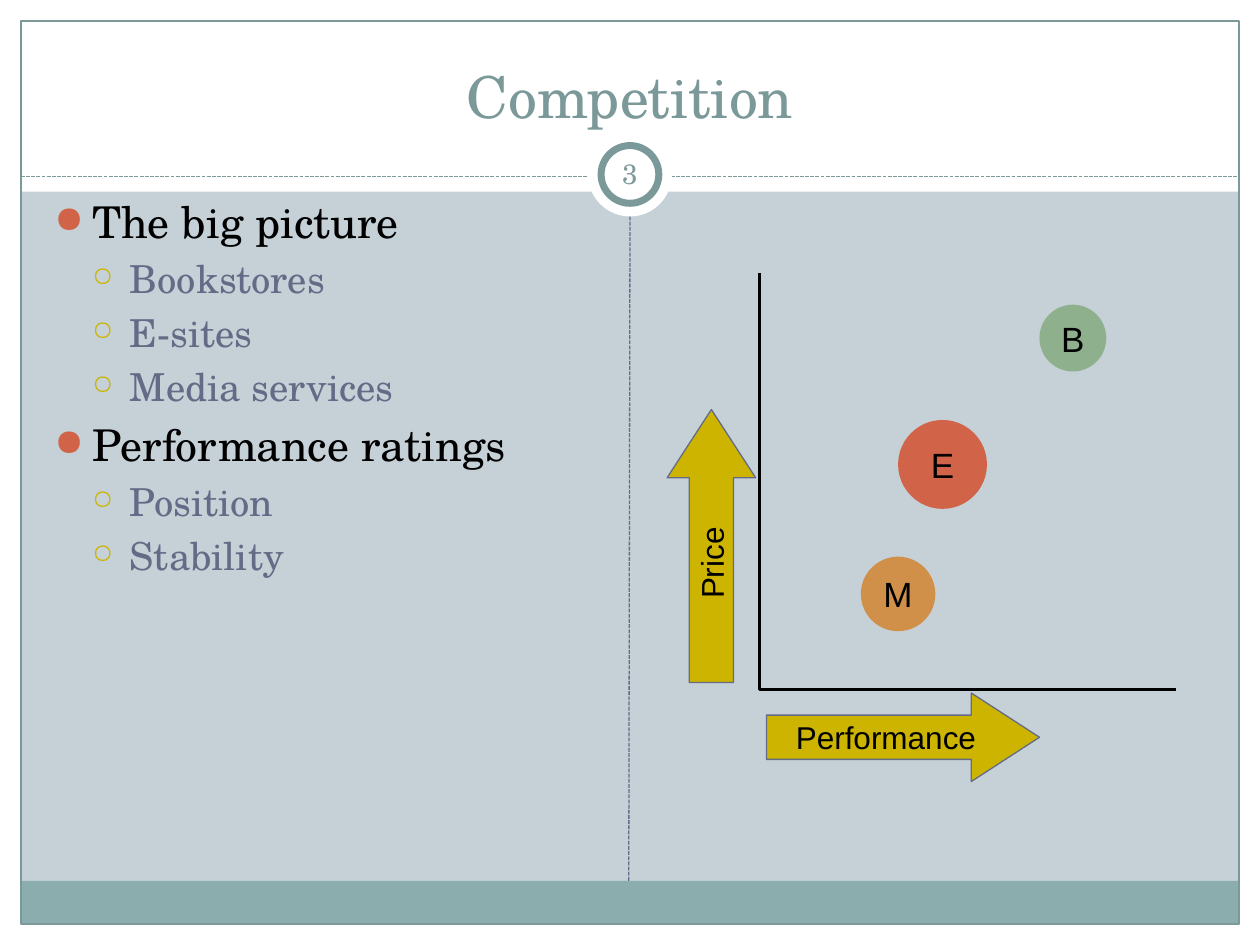
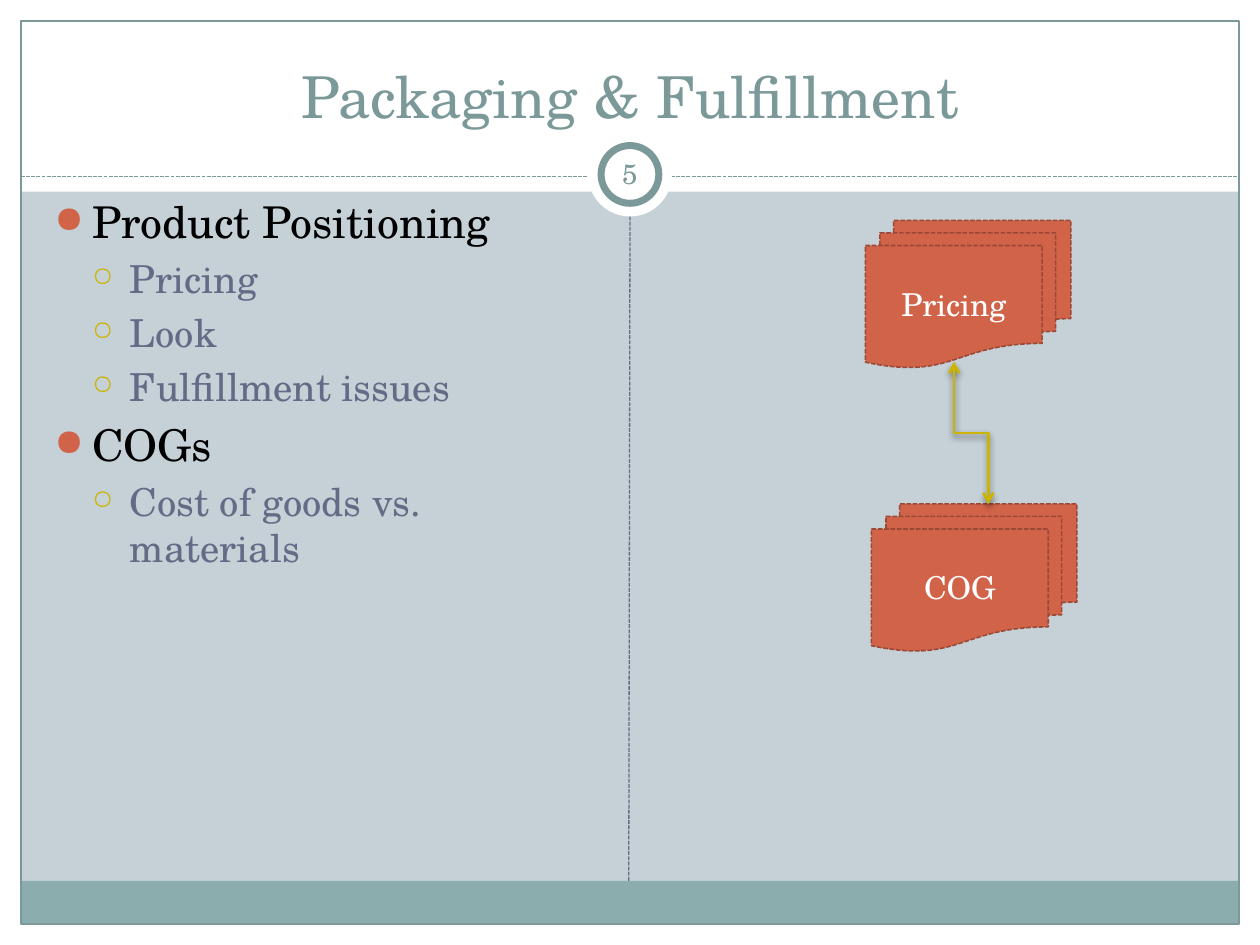
"""Build two business-plan slides: competition, and packaging and fulfillment."""
import dataclasses

import lxml.etree
import pptx
import pptx.dml.color
import pptx.enum.dml
import pptx.enum.shapes
import pptx.enum.text
import pptx.oxml.ns
import pptx.util

Pt = pptx.util.Pt
SHAPE = pptx.enum.shapes.MSO_SHAPE
CONNECTOR = pptx.enum.shapes.MSO_CONNECTOR
ALIGN = pptx.enum.text.PP_ALIGN
ANCHOR = pptx.enum.text.MSO_ANCHOR
qn = pptx.oxml.ns.qn


@dataclasses.dataclass(frozen=True)
class Theme:
    serif: str = "TeX Gyre Schola"
    sans: str = "Arial"
    background: str = "C5D1D7"
    white: str = "FFFFFF"
    black: str = "000000"
    teal: str = "7C999A"
    footer: str = "8CADAE"
    slate: str = "646B86"
    red: str = "D16349"
    dark_red: str = "9B4936"
    gold: str = "CCB400"
    green: str = "8FB08C"
    orange: str = "D19049"
    title_size: int = 33
    topic_size: int = 25
    detail_size: int = 22
    bubble_size: int = 20
    label_size: int = 18
    number_size: int = 16


THEME = Theme()
WIDTH, HEIGHT, MARGIN = 720, 540, 12
TOP_BAND = 109.5
FOOTER_TOP = 503.3
RULE_Y = 100.8
BADGE_X, BADGE_Y = WIDTH / 2, 99.7
INDENT = 21.6


def rgb(color):
    return pptx.dml.color.RGBColor.from_string(color)


def add_element(parent, tag, **attributes):
    element = lxml.etree.SubElement(parent, qn(tag))
    for name, value in attributes.items():
        element.set(name, str(value))
    return element


def style_line(line, color, weight, dashed=False):
    line.color.rgb = rgb(color)
    line.width = Pt(weight)
    if dashed:
        line.dash_style = pptx.enum.dml.MSO_LINE.SQUARE_DOT


def paint(shape, fill=None, line=None, weight=0.75, dashed=False):
    shape.shadow.inherit = False
    if fill:
        shape.fill.solid()
        shape.fill.fore_color.rgb = rgb(fill)
    else:
        shape.fill.background()
    if line:
        style_line(shape.line, line, weight, dashed)
    else:
        shape.line.fill.background()


def add_box(page, kind, left, top, width, height, **look):
    box = page.shapes.add_shape(kind, Pt(left), Pt(top), Pt(width), Pt(height))
    paint(box, **look)
    return box


def add_circle(page, center_x, center_y, diameter, **look):
    return add_box(page, SHAPE.OVAL, center_x - diameter / 2, center_y - diameter / 2,
                   diameter, diameter, **look)


def add_text_box(page, left, top, width, height):
    return page.shapes.add_textbox(Pt(left), Pt(top), Pt(width), Pt(height))


def set_frame(box, anchor=ANCHOR.MIDDLE, wrap=True, inset=None):
    frame = box.text_frame
    frame.word_wrap = wrap
    frame.vertical_anchor = anchor
    if inset is not None:
        frame.margin_left = frame.margin_right = Pt(inset)
        frame.margin_top = frame.margin_bottom = Pt(inset)
    return frame


def write(para, text, size, color, font=THEME.serif, align=ALIGN.CENTER):
    para.alignment = align
    span = para.add_run()
    span.text = text
    span.font.size = Pt(size)
    span.font.name = font
    span.font.color.rgb = rgb(color)


def set_bullet(para, character, color, percent, indent):
    properties = para._p.get_or_add_pPr()
    properties.set("marL", str(Pt(indent)))
    properties.set("indent", str(Pt(-INDENT)))
    bullet_color = add_element(properties, "a:buClr")
    add_element(bullet_color, "a:srgbClr", val=color)
    add_element(properties, "a:buSzPct", val=percent * 1000)
    add_element(properties, "a:buChar", char=character)


def add_outline(page, topics):
    frame = set_frame(add_text_box(page, 24, 108, 318, 368.5), anchor=ANCHOR.TOP)
    entries = []
    for topic, details in topics.items():
        entries.append((0, topic))
        entries.extend((1, detail) for detail in details)
    styles = [
        (THEME.topic_size, THEME.black, "●", THEME.red, 85),
        (THEME.detail_size, THEME.slate, "○", THEME.gold, 70),
    ]
    for position, (level, text) in enumerate(entries):
        size, color, character, bullet_color, percent = styles[level]
        para = frame.add_paragraph() if position else frame.paragraphs[0]
        para.level = level
        para.space_before = Pt(0.2 * size if position else 0)
        set_bullet(para, character, bullet_color, percent, INDENT * (level + 1))
        write(para, text, size, color, align=ALIGN.LEFT)


def add_line(page, start, end, color, weight=0.75, dashed=False, kind=CONNECTOR.STRAIGHT):
    line = page.shapes.add_connector(kind, Pt(start[0]), Pt(start[1]), Pt(end[0]), Pt(end[1]))
    style_line(line.line, color, weight, dashed)
    add_element(line._element.spPr, "a:effectLst")
    return line


def add_page(deck, title, number):
    page = deck.slides.add_slide(deck.slide_layouts[6])
    page.background.fill.solid()
    page.background.fill.fore_color.rgb = rgb(THEME.background)
    right = WIDTH - MARGIN
    bottom = HEIGHT - MARGIN
    bands = [
        (0, bottom, WIDTH, MARGIN),
        (0, 0, WIDTH, TOP_BAND),
        (0, 0, MARGIN, HEIGHT),
        (right, 0, MARGIN, HEIGHT),
    ]
    for band in bands:
        add_box(page, SHAPE.RECTANGLE, *band, fill=THEME.white)
    add_box(page, SHAPE.RECTANGLE, MARGIN, FOOTER_TOP, right - MARGIN, bottom - FOOTER_TOP,
            fill=THEME.footer)
    add_box(page, SHAPE.RECTANGLE, MARGIN, MARGIN, right - MARGIN, bottom - MARGIN,
            line=THEME.teal)
    add_line(page, (MARGIN, RULE_Y), (right, RULE_Y), THEME.teal, dashed=True)
    add_circle(page, BADGE_X, BADGE_Y, 48, fill=THEME.white)
    add_circle(page, BADGE_X, BADGE_Y, 33, fill=THEME.white, line=THEME.teal, weight=4)
    add_line(page, (359.3, FOOTER_TOP), (WIDTH / 2, BADGE_Y + 24), THEME.slate, dashed=True)
    frame = set_frame(add_text_box(page, BADGE_X - 18, 82, 36, 34.5), inset=3.6)
    write(frame.paragraphs[0], number, THEME.number_size, THEME.teal)
    frame = set_frame(add_text_box(page, 24, 18, 672, 60), anchor=ANCHOR.BOTTOM)
    write(frame.paragraphs[0], title, THEME.title_size, THEME.teal)
    return page


def add_bubble(page, letter, center_x, center_y, diameter, color):
    bubble = add_circle(page, center_x, center_y, diameter, fill=color)
    frame = set_frame(bubble, wrap=False, inset=0)
    write(frame.paragraphs[0], letter, THEME.bubble_size, THEME.black, font=THEME.sans)


def add_axes(page, left, top, right, bottom):
    builder = page.shapes.build_freeform(Pt(left), Pt(top))
    builder.add_line_segments([(Pt(left), Pt(bottom)), (Pt(right), Pt(bottom))], close=False)
    paint(builder.convert_to_shape(), line=THEME.black, weight=1.5)


def add_axis_arrow(page, label, left, top, rotation=0):
    arrow = add_box(page, SHAPE.RIGHT_ARROW, left, top, 156, 50.6,
                    fill=THEME.gold, line=THEME.slate)
    arrow.adjustments[0] = 0.5
    arrow.adjustments[1] = 0.77
    arrow.rotation = rotation
    frame = set_frame(arrow, wrap=False)
    write(frame.paragraphs[0], label, THEME.label_size, THEME.black, font=THEME.sans)


def add_documents(page, label, left, top):
    documents = add_box(page, SHAPE.FLOWCHART_MULTIDOCUMENT, left, top, 117.4, 84.2,
                        fill=THEME.red, line=THEME.dark_red, weight=0.9, dashed=True)
    frame = set_frame(documents)
    write(frame.paragraphs[0], label, THEME.label_size, THEME.white)


def add_elbow_arrow(page, start, end):
    """Draw a vertical-first elbow by turning a horizontal one a quarter turn."""
    middle_x = (start[0] + end[0]) / 2
    middle_y = (start[1] + end[1]) / 2
    half_run = (end[1] - start[1]) / 2
    half_rise = (end[0] - start[0]) / 2
    elbow = add_line(page, (middle_x - half_run, middle_y + half_rise),
                     (middle_x + half_run, middle_y - half_rise),
                     THEME.gold, weight=1.57, kind=CONNECTOR.ELBOW)
    properties = elbow._element.spPr
    properties.find(qn("a:xfrm")).set("rot", str(90 * 60000))
    outline = properties.find(qn("a:ln"))
    for end_tag in ("a:headEnd", "a:tailEnd"):
        add_element(outline, end_tag, type="arrow")
    shadow = add_element(properties.find(qn("a:effectLst")), "a:outerShdw", blurRad=Pt(4),
                         dist=Pt(2), dir=90 * 60000, rotWithShape=0)
    shade = add_element(shadow, "a:srgbClr", val=THEME.black)
    add_element(shade, "a:alpha", val=45000)


def build_competition(deck):
    page = add_page(deck, "Competition", "3")
    add_outline(page, {
        "The big picture": ["Bookstores", "E-sites", "Media services"],
        "Performance ratings": ["Position", "Stability"],
    })
    add_bubble(page, "E", 538.6, 265.4, 50.8, THEME.red)
    add_bubble(page, "B", 613.1, 193.2, 38.2, THEME.green)
    add_bubble(page, "M", 513.2, 339.4, 42.6, THEME.orange)
    add_axes(page, 434, 156, 672, 394)
    add_axis_arrow(page, "Performance", 438, 396)
    add_axis_arrow(page, "Price", 328.5, 286.7, rotation=270)


def build_packaging(deck):
    page = add_page(deck, "Packaging & Fulfillment", "5")
    add_outline(page, {
        "Product Positioning": ["Pricing", "Look", "Fulfillment issues"],
        "COGs": ["Cost of goods vs. materials"],
    })
    add_documents(page, "COG", 498, 288)
    add_documents(page, "Pricing", 494.5, 126)
    add_elbow_arrow(page, (545.2, 206.8), (564.8, 288))


def main():
    deck = pptx.Presentation()
    deck.slide_width = Pt(WIDTH)
    deck.slide_height = Pt(HEIGHT)
    build_competition(deck)
    build_packaging(deck)
    deck.save("out.pptx")


if __name__ == "__main__":
    main()
